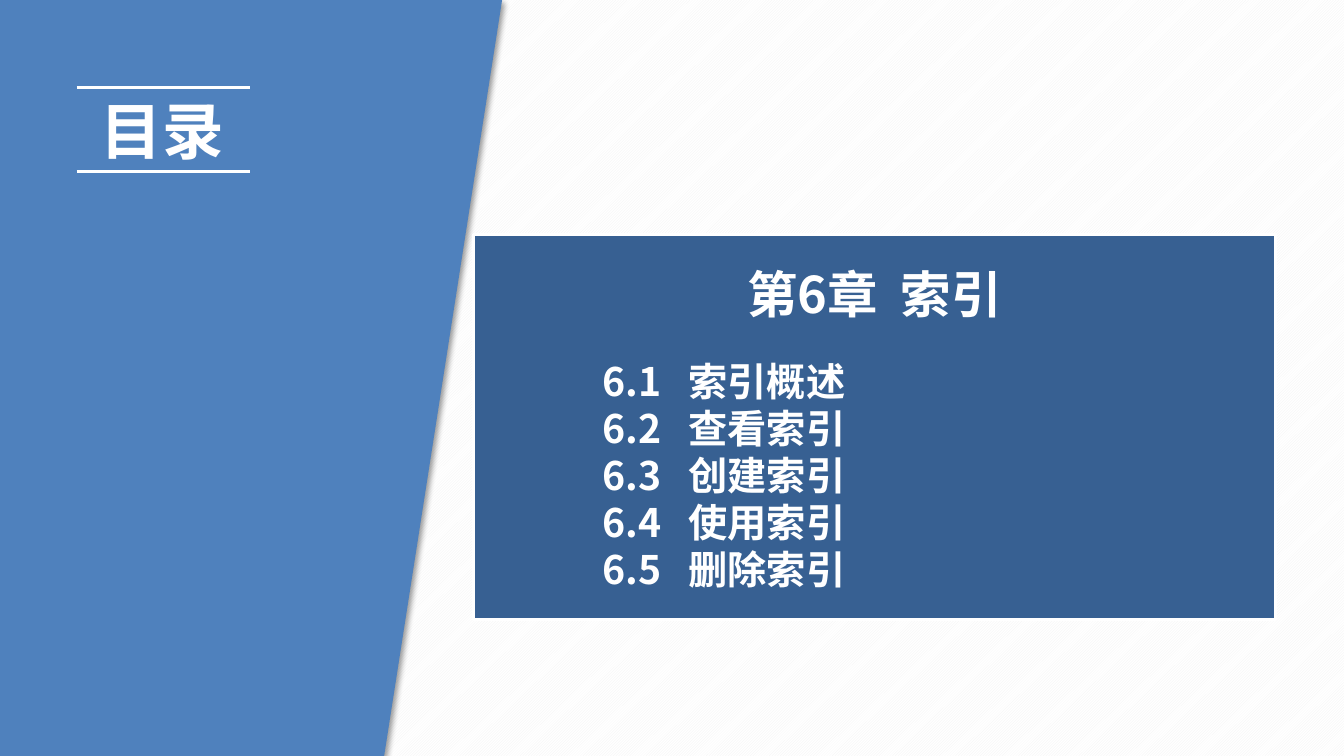
import pptx
import pptx.util
import pptx.dml.color
import pptx.enum.dml
import pptx.enum.shapes
import pptx.enum.text
import pptx.oxml
import pptx.oxml.ns
import pptx.oxml.xmlchemy
from pptx.util import Inches

RGBColor = pptx.dml.color.RGBColor
WHITE = RGBColor(0xFF, 0xFF, 0xFF)
STRIPE = RGBColor(0xF2, 0xF2, 0xF2)
BLUE = RGBColor(0x4F, 0x81, 0xBD)
NAVY = RGBColor(0x37, 0x60, 0x92)
FONT = "Noto Sans CJK SC"
LINE_RATIO = 1.2
SECTIONS = ["索引概述", "查看索引", "创建索引", "使用索引", "删除索引"]
SHADOW = (
    '<a:effectLst %s><a:outerShdw blurRad="50800" dist="38100" dir="2700000" '
    'algn="tl" rotWithShape="0"><a:srgbClr val="000000"><a:alpha val="40000"/>'
    '</a:srgbClr></a:outerShdw></a:effectLst>' % pptx.oxml.ns.nsdecls("a")
)


def new_element(tag):
    return pptx.oxml.xmlchemy.OxmlElement(tag)


def set_background(page):
    fill = page.background.fill
    fill.patterned()
    fill.pattern = pptx.enum.dml.MSO_PATTERN.DARK_UPWARD_DIAGONAL
    fill.fore_color.rgb = STRIPE
    fill.back_color.rgb = WHITE


def add_side_panel(page):
    builder = page.shapes.build_freeform(0, 0, scale=1.0)
    corners = [(4.98, 0), (3.81, 7.5), (0, 7.5)]
    builder.add_line_segments([(Inches(x), Inches(y)) for x, y in corners])
    panel = builder.convert_to_shape()
    panel.fill.solid()
    panel.fill.fore_color.rgb = BLUE
    panel.line.fill.background()
    panel._element.spPr.append(pptx.oxml.parse_xml(SHADOW))
    # Behind the placeholders
    page.shapes._spTree.insert(2, panel._element)


def add_rule(page, top):
    rule = page.shapes.add_connector(
        pptx.enum.shapes.MSO_CONNECTOR.STRAIGHT,
        Inches(0.76), Inches(top), Inches(2.48), Inches(top))
    rule.line.color.rgb = WHITE
    rule.line.width = pptx.util.Pt(2)
    rule._element.spPr.append(new_element("a:effectLst"))


def place(box, left, top, width, height, anchor):
    box.left, box.top = Inches(left), Inches(top)
    box.width, box.height = Inches(width), Inches(height)
    frame = box.text_frame
    frame.word_wrap = True
    frame.auto_size = pptx.enum.text.MSO_AUTO_SIZE.NONE
    frame.vertical_anchor = anchor
    return frame


def write(para, text, size, align, before=0, hang=0, margin=0):
    para.alignment = align
    para.line_spacing = pptx.util.Pt(size * LINE_RATIO)
    para.space_before = pptx.util.Pt(before)
    para.space_after = pptx.util.Pt(0)
    props = para._p.get_or_add_pPr()
    props.set("marL", str(Inches(margin)))
    props.set("indent", str(-Inches(hang)))
    props.append(new_element("a:buNone"))
    span = para.add_run()
    span.text = text
    font = span.font
    font.name, font.size, font.bold = FONT, pptx.util.Pt(size), True
    font.color.rgb = WHITE
    east_asian = new_element("a:ea")
    east_asian.set("typeface", FONT)
    font._element.find(pptx.oxml.ns.qn("a:latin")).addnext(east_asian)


def fill_chapter(box):
    align = pptx.enum.text.PP_ALIGN
    frame = place(box, 4.7, 2.33, 7.95, 3.82, pptx.enum.text.MSO_ANCHOR.MIDDLE)
    box.fill.solid()
    box.fill.fore_color.rgb = NAVY
    box.line.color.rgb = WHITE
    box.line.width = pptx.util.Pt(2.25)
    write(frame.paragraphs[0], "第6章  索引", 36, align.CENTER)
    # Hanging indent lines up the section names after their numbers
    for number, name in enumerate(SECTIONS, 1):
        para = frame.add_paragraph()
        para.level = 1
        write(para, f"6.{number}\t{name}", 28, align.LEFT,
              before=24 if number == 1 else 0, hang=0.85, margin=2.03)


def main():
    deck = pptx.Presentation()
    deck.slide_width, deck.slide_height = Inches(13.33), Inches(7.5)
    page = deck.slides.add_slide(deck.slide_layouts[1])
    set_background(page)
    add_side_panel(page)

    # Title between two rules
    frame = place(page.shapes.title, 0.9, 0.87, 2.77, 0.84,
                  pptx.enum.text.MSO_ANCHOR.TOP)
    write(frame.paragraphs[0], "目录", 44, pptx.enum.text.PP_ALIGN.LEFT)
    for top in (0.87, 1.7):
        add_rule(page, top)

    # Chapter contents
    fill_chapter(page.placeholders[1])
    deck.save("out.pptx")


if __name__ == "__main__":
    main()
